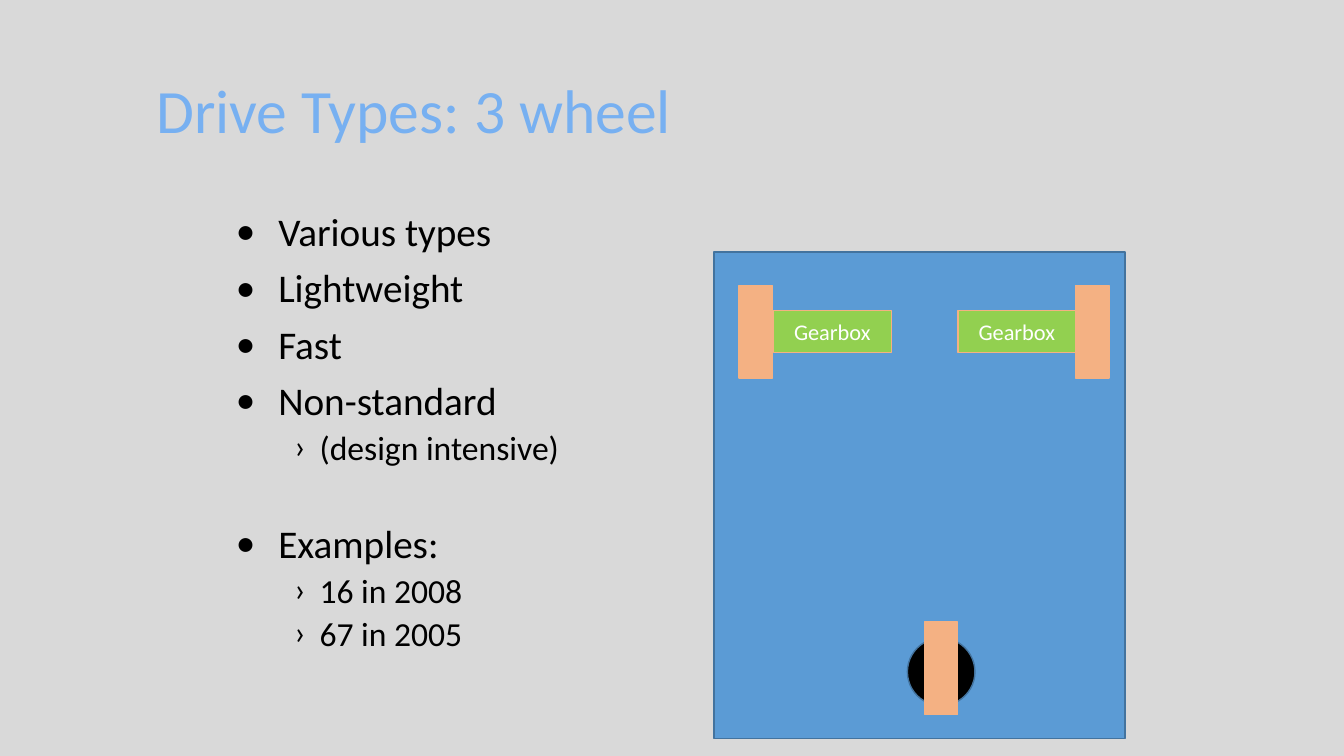
from lxml import etree
from pptx import Presentation
from pptx.dml.color import RGBColor
from pptx.enum.shapes import MSO_SHAPE
from pptx.enum.text import MSO_ANCHOR, MSO_AUTO_SIZE, PP_ALIGN
from pptx.oxml.ns import qn
from pptx.util import Pt

RECTANGLE, OVAL = MSO_SHAPE.RECTANGLE, MSO_SHAPE.OVAL
TOP, MIDDLE = MSO_ANCHOR.TOP, MSO_ANCHOR.MIDDLE
LEFT, CENTER = PP_ALIGN.LEFT, PP_ALIGN.CENTER
NO_AUTOFIT = MSO_AUTO_SIZE.NONE

EMU_PER_PX = 9144  # 100 px to the inch
FONT = "Calibri"
COLORS = {
    "background": "D9D9D9",
    "title": "77B0F1",
    "text": "000000",
    "label": "FFFFFF",
    "chassis": "5B9BD5",
    "outline": "43739E",
    "caster": "000000",
    "wheel": "F4B183",
    "gearbox": "92D050",
}
# Per list level: bullet, font size, space before, left margin, hanging indent
LEVELS = [("•", 28, 10, 49, -42), ("›", 24, 5, 90, -25)]


def px(length):
    return length * EMU_PER_PX


def color(name):
    return RGBColor.from_string(COLORS[name])


def write(paragraph, text, size, fill, align=LEFT, spacing=None, before=0):
    paragraph.alignment = align
    paragraph.line_spacing = spacing
    paragraph.space_before = Pt(before)
    run = paragraph.add_run()
    run.text = text
    run.font.name = FONT
    run.font.size = Pt(size)
    run.font.color.rgb = color(fill)


def indent(paragraph, margin, first_line=0, bullet=None):
    properties = paragraph._p.get_or_add_pPr()
    properties.set("marL", str(px(margin)))
    properties.set("indent", str(px(first_line)))
    if bullet:
        etree.SubElement(properties, qn("a:buFont")).set("typeface", FONT)
        etree.SubElement(properties, qn("a:buChar")).set("char", bullet)


class SlideBuilder:
    def __init__(self, presentation):
        self.slide = presentation.slides.add_slide(presentation.slide_layouts[1])
        fill = self.slide.background.fill
        fill.solid()
        fill.fore_color.rgb = color("background")

    def place(self, placeholder, box, anchor):
        (placeholder.left, placeholder.top,
         placeholder.width, placeholder.height) = map(px, box)
        frame = placeholder.text_frame
        frame.word_wrap = True
        frame.auto_size = NO_AUTOFIT
        frame.vertical_anchor = anchor
        return frame

    def title(self, text, box):
        frame = self.place(self.slide.shapes.title, box, MIDDLE)
        paragraph = frame.paragraphs[0]
        write(paragraph, text, 44, "title", spacing=0.9)
        indent(paragraph, 53)

    def bullets(self, items, box):
        frame = self.place(self.slide.placeholders[1], box, TOP)
        for index, (level, text, gap) in enumerate(items):
            paragraph = frame.add_paragraph() if index else frame.paragraphs[0]
            paragraph.level = level
            bullet, size, before, margin, first_line = LEVELS[level]
            write(paragraph, text, size, "text", spacing=0.9, before=before + gap)
            indent(paragraph, margin, first_line, bullet)

    def shape(self, kind, box, fill, line, label=None):
        shape = self.slide.shapes.add_shape(kind, *map(px, box))
        shape.shadow.inherit = False
        shape.fill.solid()
        shape.fill.fore_color.rgb = color(fill)
        shape.line.color.rgb = color(line)
        shape.line.width = Pt(1)
        if label:
            frame = shape.text_frame
            frame.vertical_anchor = MIDDLE
            write(frame.paragraphs[0], label, 16, "label", align=CENTER)

    def wheel(self, left, top):
        self.shape(RECTANGLE, (left, top, 33, 92), "wheel", "wheel")

    def gearbox(self, left, top):
        self.shape(RECTANGLE, (left, top, 117, 42), "gearbox", "wheel", "Gearbox")


def main():
    presentation = Presentation()
    presentation.slide_width, presentation.slide_height = px(1333), px(750)
    builder = SlideBuilder(presentation)

    # Title and list: level, text, extra space before
    builder.title("Drive Types: 3 wheel", (92, 40, 1150, 145))
    builder.bullets([
        (0, "Various types", 0),
        (0, "Lightweight", 0),
        (0, "Fast", 0),
        (0, "Non-standard", 0),
        (1, "(design intensive)", 0),
        (0, "Examples:", 31),
        (1, "16 in 2008", 0),
        (1, "67 in 2005", 0),
    ], (217, 206, 900, 500))

    # Chassis with the rear caster
    builder.shape(RECTANGLE, (708, 250, 408, 483), "chassis", "outline")
    builder.shape(OVAL, (900, 633, 67, 67), "caster", "outline")
    builder.wheel(917, 617)

    # Driven front wheels
    for gearbox_left, wheel_left in ((767, 733), (950, 1067)):
        builder.gearbox(gearbox_left, 308)
        builder.wheel(wheel_left, 283)

    presentation.save("out.pptx")


if __name__ == "__main__":
    main()
